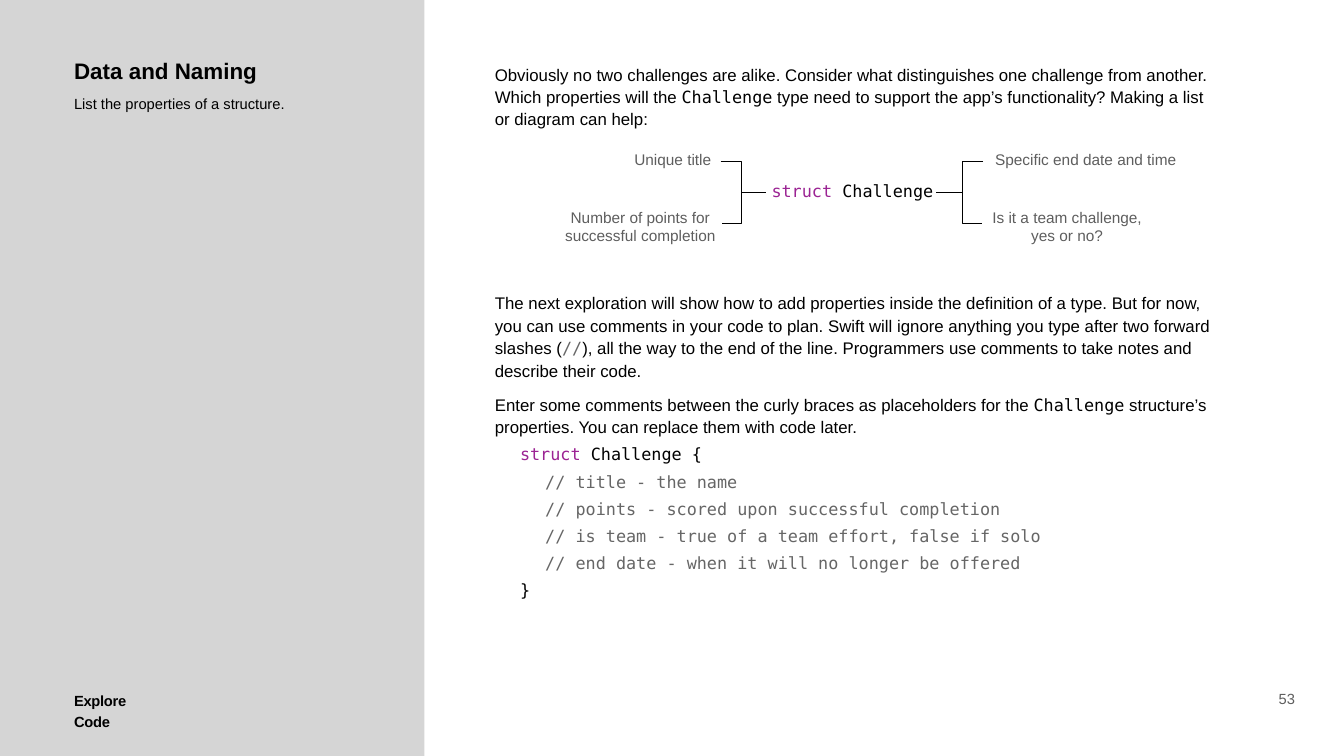
from pptx import Presentation
from pptx import util as u
from pptx.dml.color import RGBColor
from pptx.enum import shapes, text
from pptx.oxml.ns import qn
from lxml import etree

SANS, MONO = "Arial", "DejaVu Sans Mono"
BLACK, GREY, NOTE, PURPLE = "000000", "5E5E5E", "666666", "9B2393"
LEFT, MID = text.PP_ALIGN.LEFT, text.PP_ALIGN.CENTER
TOP, CENTER = text.MSO_ANCHOR.TOP, text.MSO_ANCHOR.MIDDLE
INTRO = [
    ("Obviously no two challenges are alike. Consider what distinguishes one challenge from another. "
     "Which properties will the ", SANS, BLACK),
    ("Challenge", MONO, BLACK),
    (" type need to support the app’s functionality? Making a list or diagram can help:", SANS, BLACK)]
PLAN = [
    ("The next exploration will show how to add properties inside the definition of a type. "
     "But for now, you can use comments in your code to plan. Swift will ignore anything you "
     "type after two forward slashes (", SANS, BLACK),
    ("//", MONO, NOTE),
    ("), all the way to the end of the line. Programmers use comments to take notes and "
     "describe their code.", SANS, BLACK)]
TASK = [
    ("Enter some comments between the curly braces as placeholders for the ", SANS, BLACK),
    ("Challenge", MONO, BLACK),
    (" structure’s properties. You can replace them with code later.", SANS, BLACK)]
NOTES = ["title - the name", "points - scored upon successful completion",
         "is team - true of a team effort, false if solo",
         "end date - when it will no longer be offered"]
CODE = [(0.5, [("struct ", MONO, PURPLE), ("Challenge {", MONO, BLACK)])]
CODE += [(1, [("// " + note, MONO, NOTE)]) for note in NOTES]
CODE += [(0.5, [("}", MONO, BLACK)])]


def color(code):
    return RGBColor.from_string(code)


def add_box(slide, box, pads=(0.08,) * 4, wrap=True, anchor=TOP):
    shape = slide.shapes.add_textbox(*map(u.Inches, box))
    frame = shape.text_frame
    frame.margin_left, frame.margin_top, frame.margin_right, frame.margin_bottom = map(u.Inches, pads)
    frame.word_wrap = wrap
    frame.vertical_anchor = anchor
    return shape


def write(frame, runs, size, bold=False, align=LEFT, gap=0, lead=None, indent=0):
    para = frame.paragraphs[0]
    if para.runs:
        para = frame.add_paragraph()
        para.space_before = u.Pt(gap)
    para.alignment = align
    if lead:
        para.line_spacing = lead
    if indent:
        props = para._p.get_or_add_pPr()
        props.set("marL", str(u.Inches(indent)))
        props.set("indent", "0")
    for words, face, tint in runs:
        run = para.add_run()
        run.text = words
        run.font.name, run.font.size, run.font.bold = face, u.Pt(size), bold
        run.font.color.rgb = color(tint)
    return para


def add_side(slide, x, y, w, h):
    panel = slide.shapes.add_shape(shapes.MSO_SHAPE.RECTANGLE, *map(u.Inches, (x, y, w, h)))
    panel.shadow.inherit = False
    panel.fill.solid()
    panel.fill.fore_color.rgb = color("D5D5D5")
    panel.line.fill.background()
    head = add_box(slide, (x + 1.4, y + 1.07, 5.9, 1.21)).text_frame
    write(head, [("Data and Naming", SANS, BLACK)], 32, True)
    write(head, [("List the properties of a structure.", SANS, BLACK)], 21, gap=12, lead=1.1)
    foot = add_box(slide, (x + 1.4, y + 13.59, 1.97, 0.51), wrap=False).text_frame
    para = write(foot, [("Explore Code", SANS, BLACK)], 21, True, lead=1.2)
    para.runs[0].font._element.set("spc", "-40")


def add_prose(slide, x, y, w):
    pads = (0.06,) * 4
    lead = u.Pt(32)
    intro = add_box(slide, (x, y, w, 1.5), pads).text_frame
    write(intro, INTRO, 24, lead=lead)
    body = add_box(slide, (x, y + 4.54, w, 6.25), pads).text_frame
    for runs in (PLAN, TASK):
        write(body, runs, 24, gap=17, lead=lead)
    for indent, runs in CODE:
        write(body, runs, 24, gap=10, indent=indent)


def add_fork(slide, name, side, spine, top, tips):
    mid, low = top + 0.61, top + 1.23
    pen = slide.shapes.build_freeform(u.Inches(tips[0]), u.Inches(top))
    ends = [(spine, top), (spine, low), (tips[1], low)]
    pen.add_line_segments([(u.Inches(a), u.Inches(b)) for a, b in ends], close=False)
    fork = pen.convert_to_shape()
    fork.shadow.inherit = False
    fork.fill.background()
    stem = slide.shapes.add_connector(
        shapes.MSO_CONNECTOR.STRAIGHT, *map(u.Inches, (spine, mid, spine, mid)))
    stem.end_connect(name, side)
    etree.SubElement(stem._element.spPr, qn("a:effectLst"))
    for item in (fork, stem):
        item.line.color.rgb = color(BLACK)
        item.line.width = u.Pt(1)


def add_map(slide, x, y):
    name = add_box(slide, (x + 4.32, y + 0.62, 3.38, 0.56), (0.11, 0.08, 0, 0.13), False, CENTER)
    write(name.text_frame, [("struct ", MONO, PURPLE), ("Challenge", MONO, BLACK)], 24)
    add_fork(slide, name, 1, x + 3.83, y + 0.29, (x + 3.42, x + 3.44))
    add_fork(slide, name, 3, x + 8.21, y + 0.29, (x + 8.63, x + 8.6))
    labels = [
        ("Unique title", 1.61, 0, 1.72, 0.52, False),
        ("Number of points for successful completion", 0, 1.13, 3.65, 0.9, True),
        ("Specific end date and time", 8.75, 0, 3.83, 0.52, False),
        ("Is it a team challenge, yes or no?", 8.67, 1.13, 3.25, 0.9, True)]
    for words, dx, dy, w, h, wrap in labels:
        label = add_box(slide, (x + dx, y + dy, w, h), wrap=wrap, anchor=CENTER)
        write(label.text_frame, [(words, SANS, GREY)], 22, align=MID)


def add_page(slide, x, y, w, h):
    page = add_box(slide, (x, y, w, h), wrap=False, anchor=text.MSO_ANCHOR.BOTTOM)
    write(page.text_frame, [("53", SANS, GREY)], 21, align=MID)


def main():
    deck = Presentation()
    deck.slide_width, deck.slide_height = u.Inches(26.67), u.Inches(15)
    slide = deck.slides.add_slide(deck.slide_layouts[6])
    add_side(slide, -0.01, -0.01, 8.43, 15.02)
    add_prose(slide, 9.76, 1.17, 14.47)
    add_map(slide, 10.88, 2.91)
    add_page(slide, 25.29, 13.61, 0.49, 0.5)
    deck.save("out.pptx")


if __name__ == "__main__":
    main()
